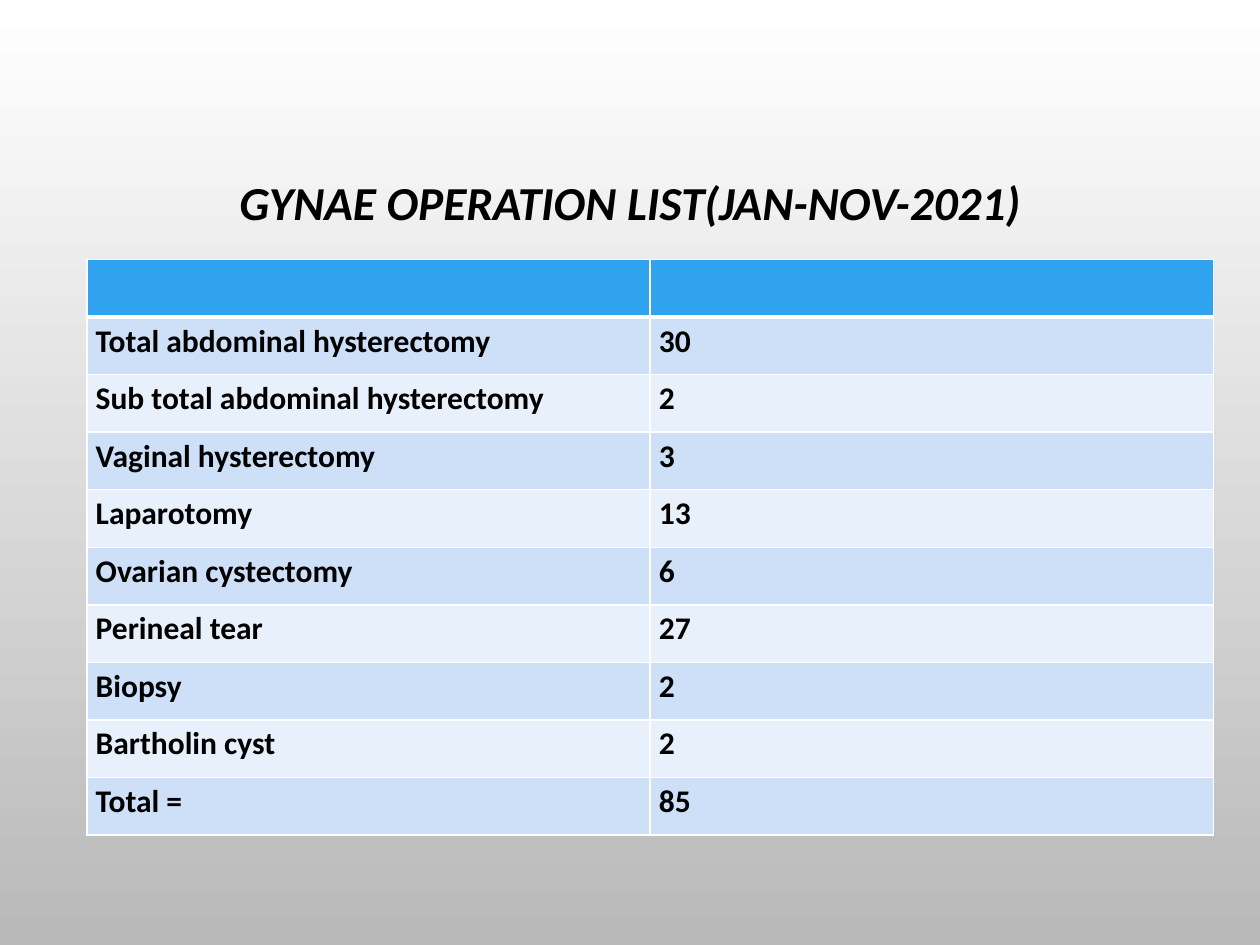
from dataclasses import dataclass

from lxml.etree import SubElement
from pptx import Presentation
from pptx.dml.color import RGBColor as Color
from pptx.enum.text import MSO_ANCHOR as Anchor, PP_ALIGN as Align
from pptx.oxml.ns import qn
from pptx.util import Inches, Pt


@dataclass(frozen=True)
class Theme:
    font: str = "Calibri"
    title_size: int = 27
    body_size: int = 18
    ink: str = "000000"
    header: str = "2FA3EE"
    bands: tuple = ("CDE0F8", "E8F0FC")
    border: str = "FFFFFF"
    thin: int = 1
    thick: int = 3
    backdrop: tuple = ("FFFFFF", "B9B9B9")


THEME = Theme()

OPERATIONS = [
    ("Total abdominal hysterectomy", "30"),
    ("Sub total abdominal hysterectomy", "2"),
    ("Vaginal hysterectomy", "3"),
    ("Laparotomy", "13"),
    ("Ovarian cystectomy", "6"),
    ("Perineal tear", "27"),
    ("Biopsy", "2"),
    ("Bartholin cyst", "2"),
    ("Total =", "85"),
]


def paint_background(page):
    fill = page.background.fill
    fill.gradient()
    fill.gradient_angle = 270
    for stop, shade in zip(fill.gradient_stops, THEME.backdrop):
        stop.color.rgb = Color.from_string(shade)


def add_span(para, text, size, italic=False):
    span = para.add_run()
    span.text = text
    span.font.name = THEME.font
    span.font.size = Pt(size)
    span.font.bold = True
    span.font.italic = italic
    span.font.color.rgb = Color.from_string(THEME.ink)


def add_title(page, text, left, top, width, height):
    box = page.shapes.add_textbox(left, top, width, height)
    frame = box.text_frame
    frame.word_wrap = True
    frame.vertical_anchor = Anchor.MIDDLE
    para = frame.paragraphs[0]
    para.alignment = Align.CENTER
    para.line_spacing = 0.9
    add_span(para, text, THEME.title_size, italic=True)


def set_borders(cell, top, bottom):
    properties = cell._tc.get_or_add_tcPr()
    widths = {"lnL": THEME.thin, "lnR": THEME.thin, "lnT": top, "lnB": bottom}
    for side, width in widths.items():
        line = SubElement(properties, qn(f"a:{side}"), w=str(Pt(width)))
        solid = SubElement(line, qn("a:solidFill"))
        SubElement(solid, qn("a:srgbClr"), val=THEME.border)


def style_cell(cell, shade, top, bottom):
    cell.margin_left = cell.margin_right = Inches(0.07)
    cell.margin_top = cell.margin_bottom = Inches(0.04)
    set_borders(cell, top, bottom)
    cell.fill.solid()
    cell.fill.fore_color.rgb = Color.from_string(shade)


def add_operations_table(page, operations, left, top, width, height):
    row_count = len(operations) + 1
    table = page.shapes.add_table(row_count, 2, left, top, width, height).table
    for cell in table.rows[0].cells:
        style_cell(cell, THEME.header, THEME.thin, THEME.thick)
    for index, values in enumerate(operations):
        shade = THEME.bands[index % 2]
        top_line = THEME.thin if index else THEME.thick
        for cell, value in zip(table.rows[index + 1].cells, values):
            style_cell(cell, shade, top_line, THEME.thin)
            add_span(cell.text_frame.paragraphs[0], value, THEME.body_size)


def main():
    deck = Presentation()
    deck.slide_width, deck.slide_height = Inches(10), Inches(7.5)
    page = deck.slides.add_slide(deck.slide_layouts[6])
    paint_background(page)
    add_title(page, "GYNAE OPERATION LIST(JAN-NOV-2021)",
              Inches(0.69), Inches(1.2), Inches(8.62), Inches(0.86))
    add_operations_table(page, OPERATIONS,
                         Inches(0.69), Inches(2.06), Inches(8.94), Inches(4.57))
    deck.save("out.pptx")


if __name__ == "__main__":
    main()
